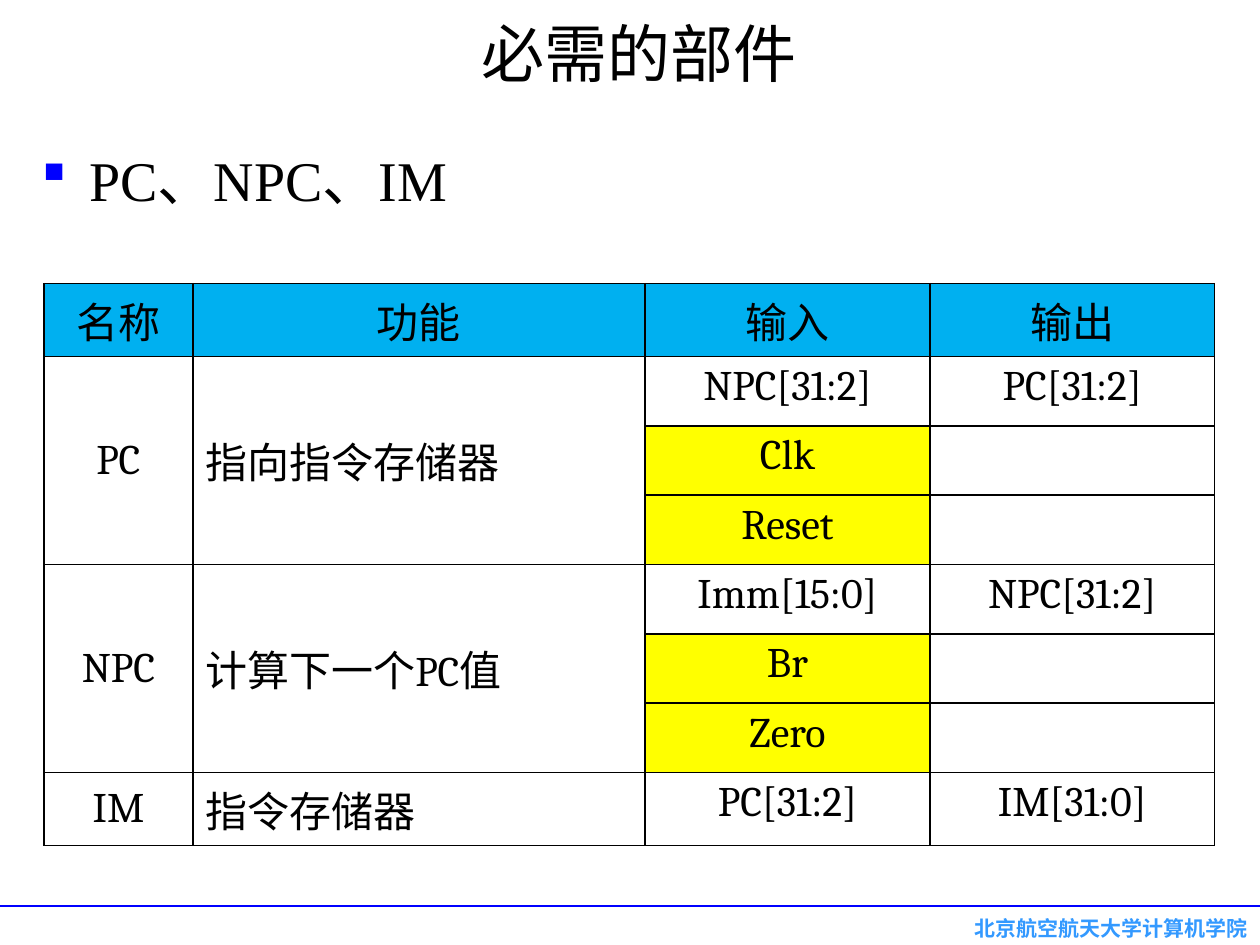
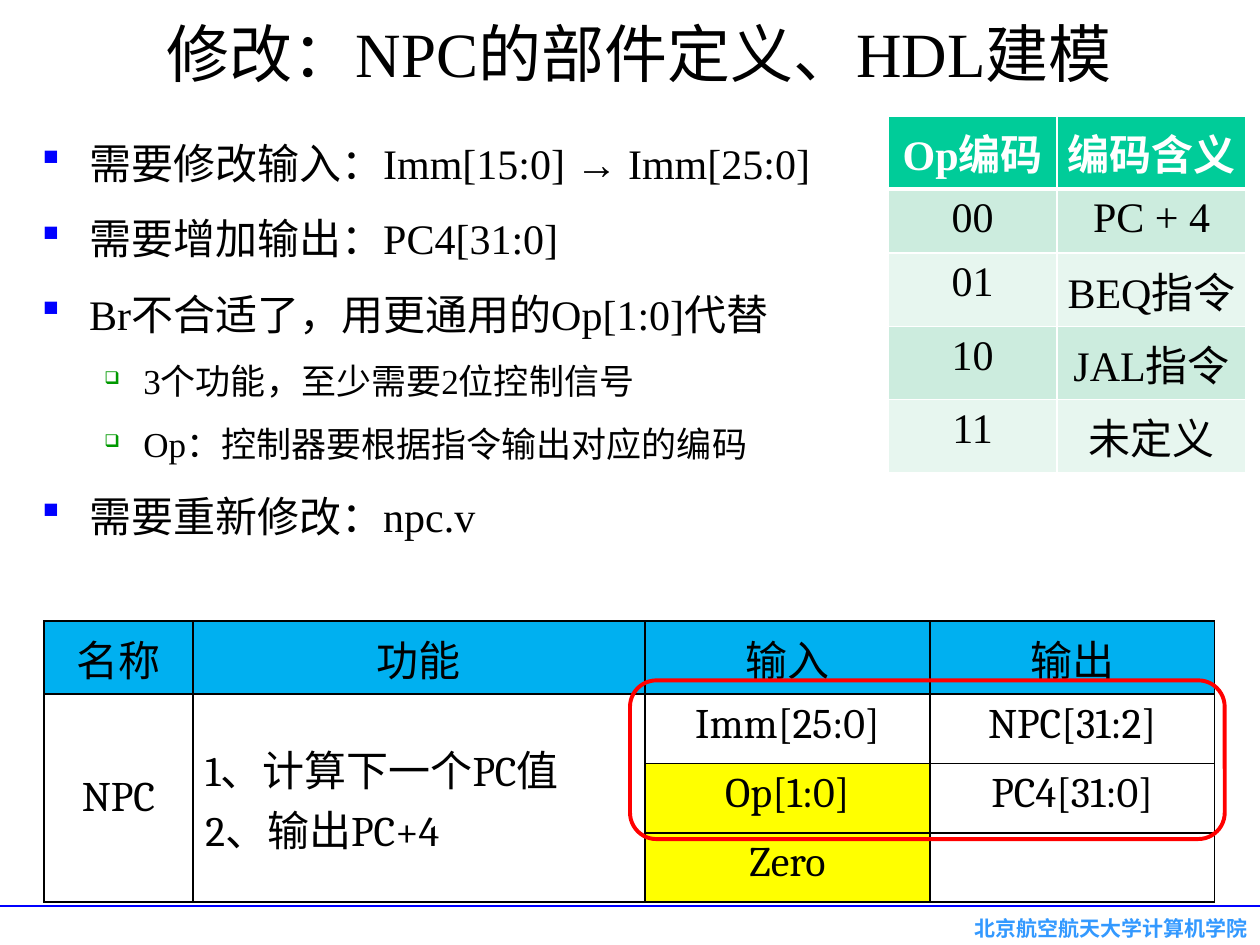
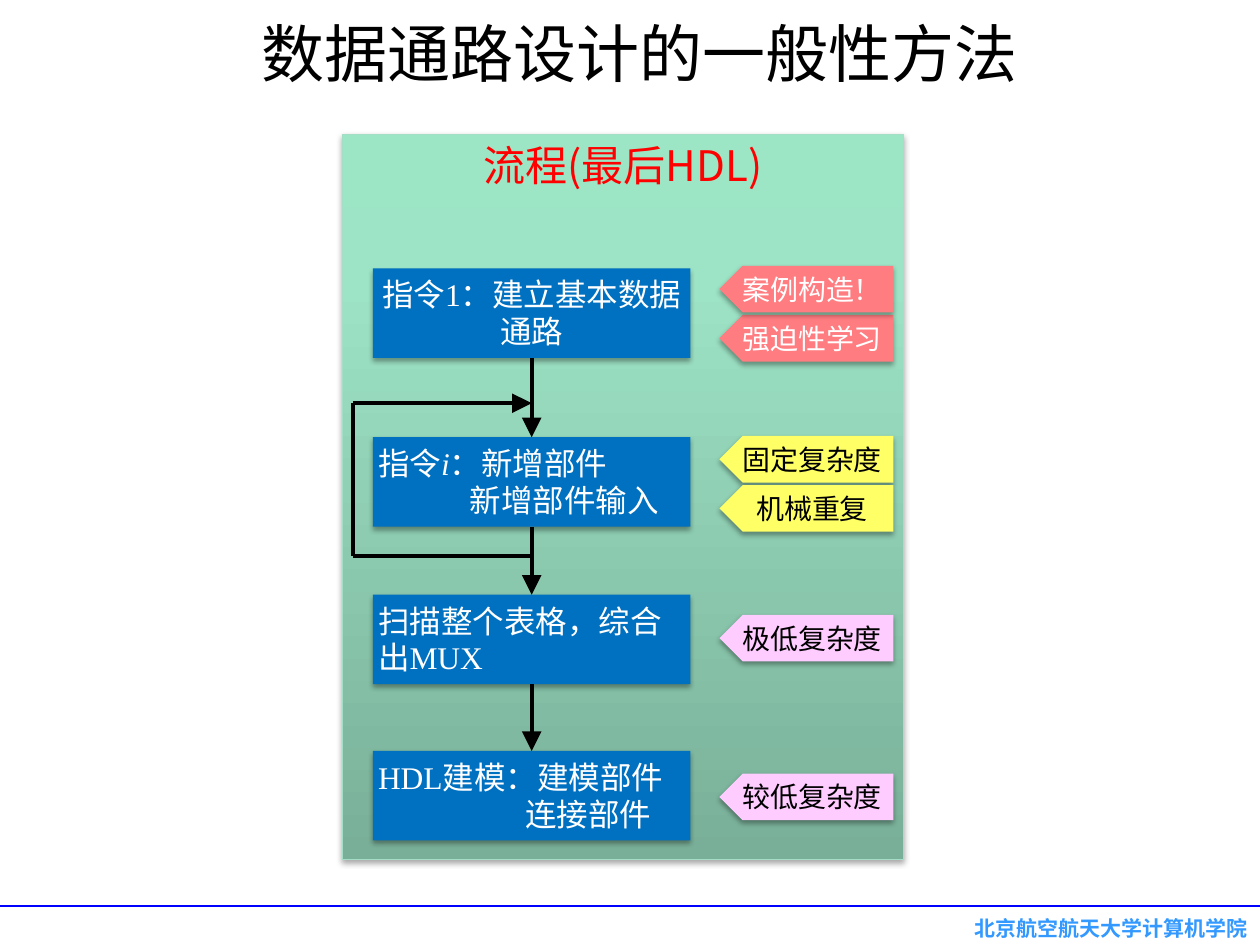
"""Build three slides on the parts and the design flow of a data path."""
from lxml.etree import SubElement as Sub
from pptx import Presentation
from pptx.dml.color import RGBColor
from pptx.enum.shapes import MSO_CONNECTOR as Conn, MSO_SHAPE as Shape
from pptx.enum.text import MSO_ANCHOR as Anchor, PP_ALIGN as Align
from pptx.oxml.ns import qn
from pptx.util import Inches, Pt

SERIF, SANS, CELL = "Times New Roman", "Noto Sans CJK SC", "Cambria"
BLACK, WHITE, RED, BLUE = "000000", "FFFFFF", "FF0000", "0000FF"
HEAD, MARK, BOX = "00B0F0", "FFFF00", "0070C0"
GREEN, PALE = "00CC99", ("CCECDE", "E7F6EF")
FOOT, SKY = "北京航空航天大学计算机学院", "3399FF"
TIGHT = (0.04, 0.05)

BODY = (0.23, 0.84, 9.53, 6.22)
LEVELS = [("§", BLUE, 100, 0.38, 0.38), ("q", "009900", 50, 0.81, 0.31)]
PARTS = [(0, "PC、NPC、IM", 32)]
EDITS = [
    (0, "需要修改输入：Imm[15:0] → Imm[25:0]", 24),
    (0, "需要增加输出：PC4[31:0]", 24),
    (0, "Br不合适了，用更通用的Op[1:0]代替", 24),
    (1, "3个功能，至少需要2位控制信号", 20),
    (1, "Op：控制器要根据指令输出对应的编码", 20),
    (0, "需要重新修改：npc.v", 24),
]

HIGH, LOW, SLIM = 0.58, 0.55, 0.51
WIDTHS = [1.18, 3.59, 2.26, 2.26]
TOP = ["名称", "功能", "输入", "输出"]
PORTS = [
    ["PC", "指向指令存储器", "NPC[31:2]", "PC[31:2]"],
    [None, None, "Clk", ""],
    [None, None, "Reset", ""],
    ["NPC", "计算下一个PC值", "Imm[15:0]", "NPC[31:2]"],
    [None, None, "Br", ""],
    [None, None, "Zero", ""],
    ["IM", "指令存储器", "PC[31:2]", "IM[31:0]"],
]
NEXT = [
    ["NPC", "1、计算下一个PC值\n2、输出PC+4", "Imm[25:0]", "NPC[31:2]"],
    [None, None, "Op[1:0]", "PC4[31:0]"],
    [None, None, "Zero", ""],
]
SIGNALS = {"Clk", "Reset", "Br", "Zero", "Op[1:0]"}
CODES = [["Op编码", "编码含义"], ["00", "PC + 4"], ["01", "BEQ指令"],
         ["10", "JAL指令"], ["11", "未定义"]]

LEFT, WIDE, TALL, MID = 2.96, 2.52, 0.71, 4.22
STEPS = [
    (2.13, Align.CENTER, [(0, ["指令1：建立基本数据通路"])]),
    (3.47, Align.LEFT, [(0, ["指令", "i", "：新增部件"]), (0.73, ["新增部件输入"])]),
    (4.72, Align.LEFT, [(0, ["扫描整个表格，综合出MUX"])]),
    (5.96, Align.LEFT, [(0, ["HDL建模：建模部件"]), (1.17, ["连接部件"])]),
]
LOOP = [((MID, 4.41), (2.8, 4.41), False), ((2.8, 3.2), (2.8, 4.41), False),
        ((2.8, 3.2), (MID, 3.2), True)]
TAGS = [
    (2.5, "强迫性学习", "FF7C80", WHITE),
    (3.46, "固定复杂度", "FFFF66", BLACK),
    (3.85, "机械重复", "FFFF66", BLACK),
    (4.88, "极低复杂度", "FFCCFF", BLACK),
    (6.14, "较低复杂度", "FFCCFF", BLACK),
    (2.11, "案例构造！", "FF7C80", WHITE),
]
FADE = [(0, "79AF98"), (80, "9DE3C5"), (100, "9CE6C6")]


def rgb(code):
    return RGBColor.from_string(code)


def node(root, tag, **attrs):
    return Sub(root, qn("a:" + tag), {k: str(v) for k, v in attrs.items()})


def write(par, text, size, color=BLACK, font=SERIF, bold=False, slant=False):
    run = par.add_run()
    run.text = text
    face = run.font
    face.size, face.name, face.bold, face.italic = Pt(size), font, bold, slant
    face.color.rgb = rgb(color)
    node(run._r.get_or_add_rPr(), "ea", typeface=SANS)


def lines(frame, count):
    return [frame.paragraphs[0]] + [frame.add_paragraph() for _ in range(count - 1)]


def inset(item, x, y):
    item.margin_left = item.margin_right = Inches(x)
    item.margin_top = item.margin_bottom = Inches(y)


def area(slide, at, pad=(0.1, 0.05), anchor=Anchor.TOP):
    frame = slide.shapes.add_textbox(*map(Inches, at)).text_frame
    frame.word_wrap, frame.vertical_anchor = True, anchor
    inset(frame, *pad)
    return frame


def link(slide, start, end, color=BLACK, width=2.25, arrow=False):
    line = slide.shapes.add_connector(Conn.STRAIGHT, *map(Inches, start + end))
    line.line.color.rgb, line.line.width = rgb(color), Pt(width)
    props = line._element.spPr
    if arrow:
        node(props.find(qn("a:ln")), "tailEnd", type="triangle", w="lg", len="lg")
    node(props, "effectLst")


def block(slide, kind, at, fill=None):
    shape = slide.shapes.add_shape(kind, *map(Inches, at))
    shape.shadow.inherit = False
    if fill:
        shape.fill.solid()
        shape.fill.fore_color.rgb = rgb(fill)
    else:
        shape.fill.background()
    shape.line.fill.background()
    frame = shape.text_frame
    frame.word_wrap, frame.vertical_anchor = True, Anchor.MIDDLE
    inset(frame, *TIGHT)
    return shape


def shade(shape):
    root = shape._element.spPr.find(qn("a:effectLst"))
    cast = node(root, "outerShdw", blurRad=Pt(3.1), dist=Pt(1.8), dir=5400000, rotWithShape=0)
    node(node(cast, "srgbClr", val=BLACK), "alpha", val=35000)


def blend(shape):
    props = shape._element.spPr
    old = props.find(qn("a:noFill"))
    grad = node(props, "gradFill", rotWithShape=1)
    stops = node(grad, "gsLst")
    for pos, color in FADE:
        node(node(stops, "gs", pos=pos * 1000), "srgbClr", val=color)
    node(grad, "lin", ang=270 * 60000, scaled=0)
    props.replace(old, grad)


def page(deck, title):
    slide = deck.slides.add_slide(deck.slide_layouts[6])
    par = area(slide, (4.53, 7.27, 5.47, 0.2), (0.1, 0), Anchor.MIDDLE).paragraphs[0]
    par.alignment = Align.RIGHT
    write(par, FOOT, 12, SKY, SANS, True)
    link(slide, (10, 7.19), (0, 7.19), BLUE, 1.5)
    par = area(slide, (0.23, 0.05, 9.69, 0.73), anchor=Anchor.MIDDLE).paragraphs[0]
    par.alignment = Align.CENTER
    write(par, title, 36)
    return slide


def points(slide, items):
    frame = area(slide, BODY)
    for par, (level, text, size) in zip(lines(frame, len(items)), items):
        sign, color, scale, left, hang = LEVELS[level]
        par.level, par.line_spacing = level, 1.5
        props = par._p.get_or_add_pPr()
        props.set("marL", str(Inches(left)))
        props.set("indent", str(-Inches(hang)))
        node(node(props, "buClr"), "srgbClr", val=color)
        node(props, "buSzPct", val=scale * 1000)
        node(props, "buFont", typeface="Wingdings", charset=2)
        node(props, "buChar", char=sign)
        write(par, text, size)


def grid(slide, at, widths, heights):
    spot = map(Inches, at + (sum(widths), sum(heights)))
    table = slide.shapes.add_table(len(heights), len(widths), *spot).table
    table.first_row = table.horz_banding = False
    for col, width in zip(table.columns, widths):
        col.width = Inches(width)
    for row, high in zip(table.rows, heights):
        row.height = Inches(high)
    return table


def dress(cell, fill, edge, base=1):
    props = cell._tc.get_or_add_tcPr()
    for side, width in zip("LRTB", (1, 1, 1, base)):
        rule = node(props, "ln" + side, w=Pt(width))
        node(node(rule, "solidFill"), "srgbClr", val=edge)
    if fill:
        cell.fill.solid()
        cell.fill.fore_color.rgb = rgb(fill)
    else:
        cell.fill.background()


def label(cell, text, align, *style):
    rows = text.split("\n")
    for par, row in zip(lines(cell.text_frame, len(rows)), rows):
        par.alignment = align
        write(par, row, 24, *style)


def spans(rows):
    heads = [r for r, row in enumerate(rows, 1) if row[0]]
    return list(zip(heads, [r - 1 for r in heads[1:]] + [len(rows)]))


def ports(slide, top, rows):
    groups = spans(rows)
    single = {0} | {first for first, last in groups if first == last}
    heights = [HIGH if r in single else LOW for r in range(len(rows) + 1)]
    table = grid(slide, (0.35, top), WIDTHS, heights)
    for r, row in enumerate([TOP] + rows):
        for c, text in enumerate(row):
            cell = table.cell(r, c)
            dress(cell, MARK if text in SIGNALS else None if r else HEAD, BLACK)
            if r and c < 2:
                cell.vertical_anchor = Anchor.MIDDLE
            if text:
                align = Align.JUSTIFY if r and c == 1 else Align.CENTER
                label(cell, text, align, BLACK, CELL if r else SERIF)
    for first, last in groups:
        if last > first:
            for c in range(2):
                table.cell(first, c).merge(table.cell(last, c))


def codes(slide):
    heights = [SLIM if row[1].isascii() else HIGH for row in CODES]
    table = grid(slide, (7.05, 0.92), [1.34, 1.5], heights)
    for r, row in enumerate(CODES):
        for c, text in enumerate(row):
            cell = table.cell(r, c)
            inset(cell, *TIGHT)
            dress(cell, PALE[(r - 1) % 2] if r else GREEN, WHITE, 1 if r else 3)
            label(cell, text, Align.CENTER, BLACK if r else WHITE, SERIF, not r)


def flow(slide):
    panel = block(slide, Shape.RECTANGLE, (2.72, 1.07, 4.45, 5.75))
    blend(panel)
    shade(panel)
    panel.line.color.rgb, panel.line.width = rgb("A5DEC6"), Pt(0.75)
    panel.text_frame.vertical_anchor = Anchor.TOP
    par = panel.text_frame.paragraphs[0]
    par.alignment, par.space_before, par.line_spacing = Align.CENTER, Pt(4), Pt(28)
    write(par, "流程(最后HDL)", 24, RED, SANS)
    for top, align, rows in STEPS:
        box = block(slide, Shape.RECTANGLE, (LEFT, top, WIDE, TALL), BOX)
        shade(box)
        for par, (left, runs) in zip(lines(box.text_frame, len(rows)), rows):
            par.alignment, par.line_spacing = align, Pt(21)
            par._p.get_or_add_pPr().set("marL", str(Inches(left)))
            for text in runs:
                write(par, text, 18, WHITE, slant=text == "i")
    for step, after in zip(STEPS, STEPS[1:]):
        link(slide, (MID, step[0] + TALL), (MID, after[0]), arrow=True)
    for start, end, arrow in LOOP:
        link(slide, start, end, arrow=arrow)
    for top, text, fill, color in TAGS:
        tag = block(slide, Shape.PENTAGON, (5.71, top, 1.38, 0.37), fill)
        tag._element.spPr.find(qn("a:xfrm")).set("flipH", "1")
        shade(tag)
        par = tag.text_frame.paragraphs[0]
        par.alignment, par.line_spacing = Align.CENTER, Pt(19)
        write(par, text, 16, color)


def main():
    deck = Presentation()
    deck.slide_width, deck.slide_height = Inches(10), Inches(7.5)

    slide = page(deck, "必需的部件")
    points(slide, PARTS)
    ports(slide, 2.25, PORTS)

    slide = page(deck, "修改：NPC的部件定义、HDL建模")
    points(slide, EDITS)
    ports(slide, 4.93, NEXT)
    ring = block(slide, Shape.ROUNDED_RECTANGLE, (5, 5.4, 4.72, 1.26))
    ring.line.color.rgb, ring.line.width = rgb(RED), Pt(2.25)
    codes(slide)

    flow(page(deck, "数据通路设计的一般性方法"))
    deck.save("out.pptx")


if __name__ == "__main__":
    main()
